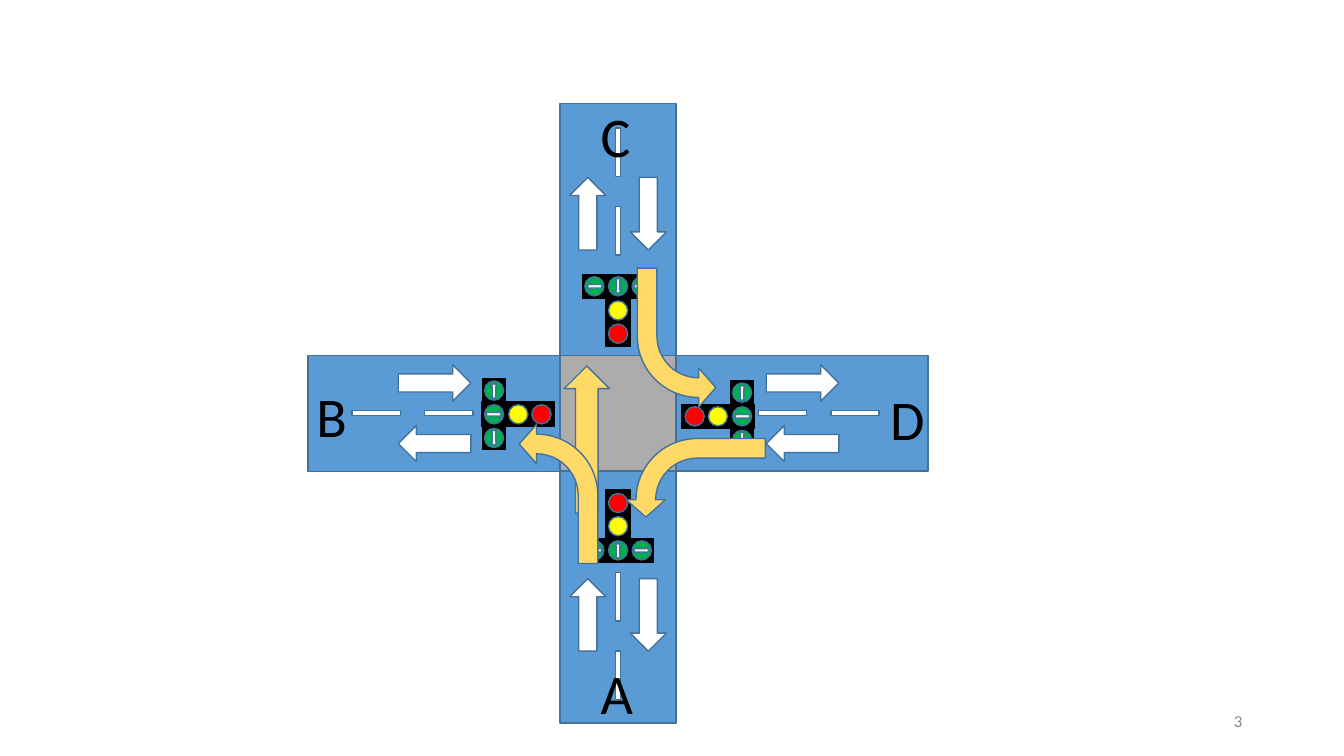
from math import cos, radians, sin

from pptx import Presentation
from pptx.dml.color import RGBColor
from pptx.enum.shapes import MSO_SHAPE
from pptx.enum.text import MSO_ANCHOR, PP_ALIGN
from pptx.oxml.ns import qn
from pptx.util import Inches, Pt

RECT, OVAL = MSO_SHAPE.RECTANGLE, MSO_SHAPE.OVAL
RIGHT_ARROW, DOWN_ARROW = MSO_SHAPE.RIGHT_ARROW, MSO_SHAPE.DOWN_ARROW
BENT_ARROW = MSO_SHAPE.BENT_ARROW
MIDDLE, TOP = MSO_ANCHOR.MIDDLE, MSO_ANCHOR.TOP
LEFT, RIGHT = PP_ALIGN.LEFT, PP_ALIGN.RIGHT

COLORS = {
    "road": "5B9BD5", "crossing": "AEABAB", "outline": "42719C",
    "marking": "FFFFFF", "housing": "000000", "green": "00B050",
    "yellow": "FFFF00", "red": "FF0000", "glyph": "F2F2F2",
    "route": "FFD966", "letter": "000000", "number": "888888",
}
CENTER = (6.13, 4.1)
ROAD_WIDTH, ROAD_LENGTH = 1.15, 2.5
LANE_OFFSET = 0.3
LAMP_GAP = 0.235

# turn, dash distances, lane arrow distance, signal distance, signal sideways shift
ARMS = [
    (0, (1.63, 2.35), 1.83, 0.99, 0.03),
    (180, (1.68, 2.4), 1.82, 0.99, -0.01),
    (90, (1.82, 2.6), 2.0, 1.12, 0),
    (270, (1.81, 2.59), 1.98, 1.02, 0),
]
LETTERS = [("A", 5.86, 6.48), ("C", 5.86, 0.96), ("D", 8.73, 3.77), ("B", 3.04, 3.74)]
TURN_ROUTES = [(5.15, 4.21, 0), (6.51, 4.05, 270), (6.32, 2.66, 180)]


def rgb(name):
    """Return the named colour."""
    return RGBColor.from_string(COLORS[name])


def shift(origin, offset, turn):
    """Return the point at an offset from the origin, turned clockwise."""
    x, y = offset
    c, s = cos(radians(turn)), sin(radians(turn))
    return origin[0] + x * c - y * s, origin[1] + x * s + y * c


def add_part(page, kind, center, size, color, turn=0, outline="outline"):
    """Add a filled shape around a centre point."""
    (x, y), (width, height) = center, size
    part = page.shapes.add_shape(
        kind, Inches(x - width / 2), Inches(y - height / 2), Inches(width), Inches(height))
    part.rotation = turn % 360
    part.shadow.inherit = False
    part.fill.solid()
    part.fill.fore_color.rgb = rgb(color)
    part.line.color.rgb = rgb(outline)
    part.line.width = Pt(1)
    return part


def add_road(page, center, turn, dashes, lane):
    """Draw one arm of the junction with its dashes and lane arrows."""
    road_center = shift(center, ((ROAD_WIDTH + ROAD_LENGTH) / 2, 0), turn)
    add_part(page, RECT, road_center, (ROAD_LENGTH, ROAD_WIDTH), "road", turn)
    for distance in dashes:
        add_part(page, RECT, shift(center, (distance, 0), turn), (0.48, 0.05), "marking", turn)
    for side, heading in ((-LANE_OFFSET, 0), (LANE_OFFSET, 180)):
        add_part(page, RIGHT_ARROW, shift(center, (lane, side), turn),
                 (0.72, 0.36), "marking", turn + heading)


def add_signal(page, center, turn):
    """Draw a T-shaped traffic light around its centre."""
    add_part(page, RECT, center, (0.24, 0.72), "housing", turn, "housing")
    for x in (-LAMP_GAP, LAMP_GAP):
        add_part(page, RECT, shift(center, (x, 0.24), turn), (0.23, 0.23),
                 "housing", turn, "housing")
    for color, y in (("yellow", 0), ("red", -0.23)):
        add_part(page, OVAL, shift(center, (0, y), turn), (0.19, 0.19), color, turn)
    for x, heading in ((LAMP_GAP, 0), (-LAMP_GAP, 180), (0, 270)):
        lamp = shift(center, (x, 0.24), turn)
        add_part(page, OVAL, lamp, (0.19, 0.19), "green", turn)
        add_part(page, RIGHT_ARROW, lamp, (0.15, 0.07), "glyph", turn + heading)


def add_routes(page):
    """Draw the straight route and the three turning routes."""
    add_part(page, DOWN_ARROW, (5.82, 4.36), (0.45, 1.46), "route", 180)
    width, height = 0.78, 1.38
    for left, top, turn in TURN_ROUTES:
        route = add_part(page, BENT_ARROW, (left + width / 2, top + height / 2),
                         (width, height), "route", turn)
        for index, value in enumerate((0.25, 0.25, 0.22, 0.78)):
            route.adjustments[index] = value
        route.element.spPr.find(qn("a:xfrm")).set("flipH", "1")


def add_label(page, text, box, size, color, align=LEFT, anchor=TOP):
    """Add a one-line text box."""
    frame = page.shapes.add_textbox(*map(Inches, box)).text_frame
    frame.word_wrap = True
    frame.vertical_anchor = anchor
    frame.text = text
    para = frame.paragraphs[0]
    para.alignment = align
    font = para.runs[0].font
    font.name, font.size = "Calibri", Pt(size)
    font.color.rgb = rgb(color)


def add_junction(page, center):
    """Draw the crossing, its four arms and their traffic lights."""
    add_part(page, RECT, center, (ROAD_WIDTH, ROAD_WIDTH), "crossing")
    for turn, dashes, lane, _, _ in ARMS:
        add_road(page, center, turn, dashes, lane)
    for turn, _, _, distance, side in ARMS:
        add_signal(page, shift(center, (distance, side), turn), turn - 90)


def main():
    """Build and save the deck."""
    deck = Presentation()
    deck.slide_width, deck.slide_height = Inches(13.33), Inches(7.5)
    page = deck.slides.add_slide(deck.slide_layouts[6])
    add_junction(page, CENTER)
    for letter, left, top in LETTERS:
        add_label(page, letter, (left, top, 0.47, 0.77), 40, "letter")
    add_routes(page)
    add_label(page, "3", (9.42, 6.95, 3, 0.4), 12, "number", RIGHT, MIDDLE)
    deck.save("out.pptx")


if __name__ == "__main__":
    main()
